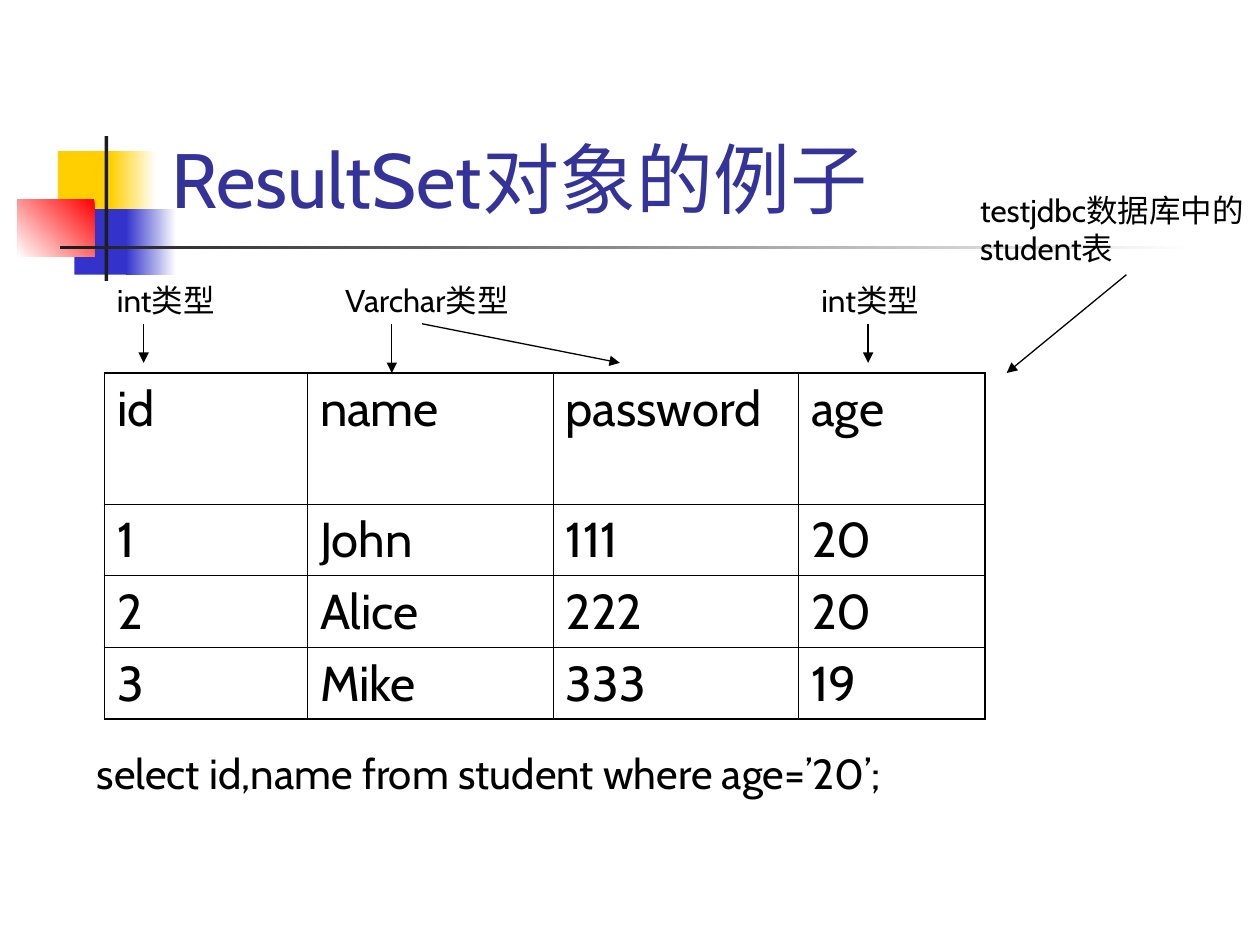
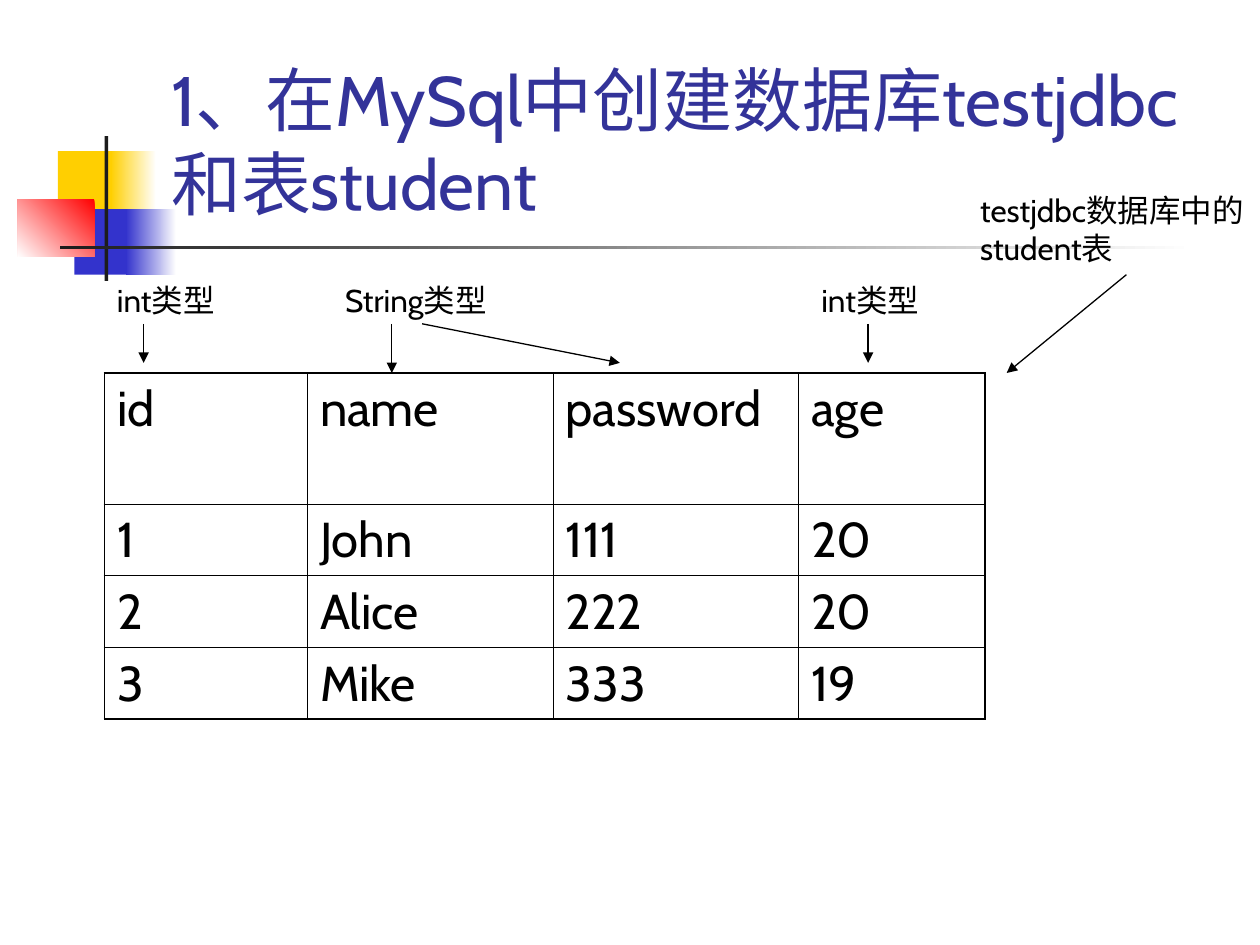
"""Build two slides on the student table and its column types."""
from lxml.etree import SubElement
from pptx import Presentation
from pptx.dml.color import RGBColor
from pptx.enum.shapes import MSO_CONNECTOR, MSO_SHAPE
from pptx.enum.text import MSO_ANCHOR
from pptx.oxml.ns import qn
from pptx.util import Pt

PX = 9144
FONT = "Cabin"
COLORS = {
    "white": "FFFFFF", "black": "000000", "title": "333399", "yellow": "FFCF01",
    "blue": "3333CC", "red": "FF0000", "ink": "1C1C1C",
}
ORNAMENT = [
    ((46, 120, 48, 52), ["yellow"], 0),
    ((88, 120, 36, 52), ["white", "yellow"], 180),
    ((59, 166, 46, 52), ["blue"], 0),
    ((100, 166, 40, 52), ["white", "blue"], 180),
    ((14, 158, 61, 46), ["red", "white"], 225),
    ((83, 108, 3, 115), ["ink"], 0),
    ((48, 195, 900, 3), ["white", "ink"], 180),
]
STUDENTS = [
    ["id", "name", "password", "age"],
    ["1", "John", "111", "20"],
    ["2", "Alice", "222", "20"],
    ["3", "Mike", "333", "19"],
]
COLUMN_WIDTHS = [161, 195, 195, 148]
ROW_HEIGHTS = [104, 57, 57, 57]
THIN, THICK = 0.45, 1.08
ARROWS = [
    (114, 257, 114, 288),
    (311, 257, 311, 296),
    (335, 257, 492, 288),
    (689, 257, 689, 288),
    (894, 218, 799, 296),
]
LESSONS = [
    {"title": "ResultSet对象的例子", "size": 44, "text_type": "Varchar类型",
     "query": "select id,name from student where age=’20’;"},
    {"title": "1、在MySql中创建数据库testjdbc和表student", "size": 40,
     "text_type": "String类型", "query": None},
]


def rgb(name):
    return RGBColor.from_string(COLORS[name])


def write(frame, text, size, color="black"):
    frame.word_wrap = True
    run = frame.paragraphs[0].add_run()
    run.text = text
    run.font.name = FONT
    run.font.size = Pt(size)
    run.font.color.rgb = rgb(color)


deck = Presentation()
deck.slide_width, deck.slide_height = 1000 * PX, 750 * PX

for lesson in LESSONS:
    slide = deck.slides.add_slide(deck.slide_layouts[6])
    slide.background.fill.solid()
    slide.background.fill.fore_color.rgb = rgb("white")

    for place, tints, angle in ORNAMENT:
        block = slide.shapes.add_shape(MSO_SHAPE.RECTANGLE, *[v * PX for v in place])
        block.shadow.inherit = False
        block.line.fill.background()
        if len(tints) == 1:
            block.fill.solid()
            block.fill.fore_color.rgb = rgb(tints[0])
        else:
            block.fill.gradient()
            block.fill.gradient_angle = angle
            for stop, tint in zip(block.fill.gradient_stops, tints):
                stop.color.rgb = rgb(tint)

    heading = slide.shapes.add_textbox(126 * PX, 23 * PX, 852 * PX, 160 * PX)
    heading.text_frame.vertical_anchor = MSO_ANCHOR.BOTTOM
    write(heading.text_frame, lesson["title"], lesson["size"], "title")

    students = slide.shapes.add_table(
        len(STUDENTS), len(COLUMN_WIDTHS), 83 * PX, 296 * PX,
        sum(COLUMN_WIDTHS) * PX, sum(ROW_HEIGHTS) * PX).table
    students.first_row = students.horz_banding = False
    for column, width in zip(students.columns, COLUMN_WIDTHS):
        column.width = width * PX
    for r, (row, height) in enumerate(zip(STUDENTS, ROW_HEIGHTS)):
        students.rows[r].height = height * PX
        for c, value in enumerate(row):
            cell = students.cell(r, c)
            write(cell.text_frame, value, 28)
            cell.margin_left = cell.margin_right = 10 * PX
            cell.margin_top = cell.margin_bottom = 5 * PX
            outer_edges = {
                "a:lnL": c == 0, "a:lnR": c == len(row) - 1,
                "a:lnT": r == 0, "a:lnB": r == len(STUDENTS) - 1,
            }
            properties = cell._tc.get_or_add_tcPr()
            for edge, is_outer in outer_edges.items():
                border = SubElement(properties, qn(edge), w=str(Pt(THICK if is_outer else THIN)))
                paint = SubElement(border, qn("a:solidFill"))
                SubElement(paint, qn("a:srgbClr"), val=COLORS["black"])
            cell.fill.background()

    captions = [
        ((768, 147, 232, 70), "testjdbc数据库中的student表", 18),
        ((83, 218, 118, 40), "int类型", 18),
        ((264, 218, 165, 40), lesson["text_type"], 18),
        ((642, 218, 118, 40), "int类型", 18),
    ]
    if lesson["query"]:
        captions.append(((67, 588, 866, 50), lesson["query"], 24))
    for place, text, size in captions:
        caption = slide.shapes.add_textbox(*[v * PX for v in place])
        write(caption.text_frame, text, size)

    for ends in ARROWS:
        arrow = slide.shapes.add_connector(MSO_CONNECTOR.STRAIGHT, *[v * PX for v in ends])
        arrow.line.color.rgb = rgb("black")
        arrow.line.width = Pt(0.75)
        outline = arrow._element.spPr.find(qn("a:ln"))
        SubElement(outline, qn("a:tailEnd"), type="triangle")
        SubElement(arrow._element.spPr, qn("a:effectLst"))

deck.save("out.pptx")
